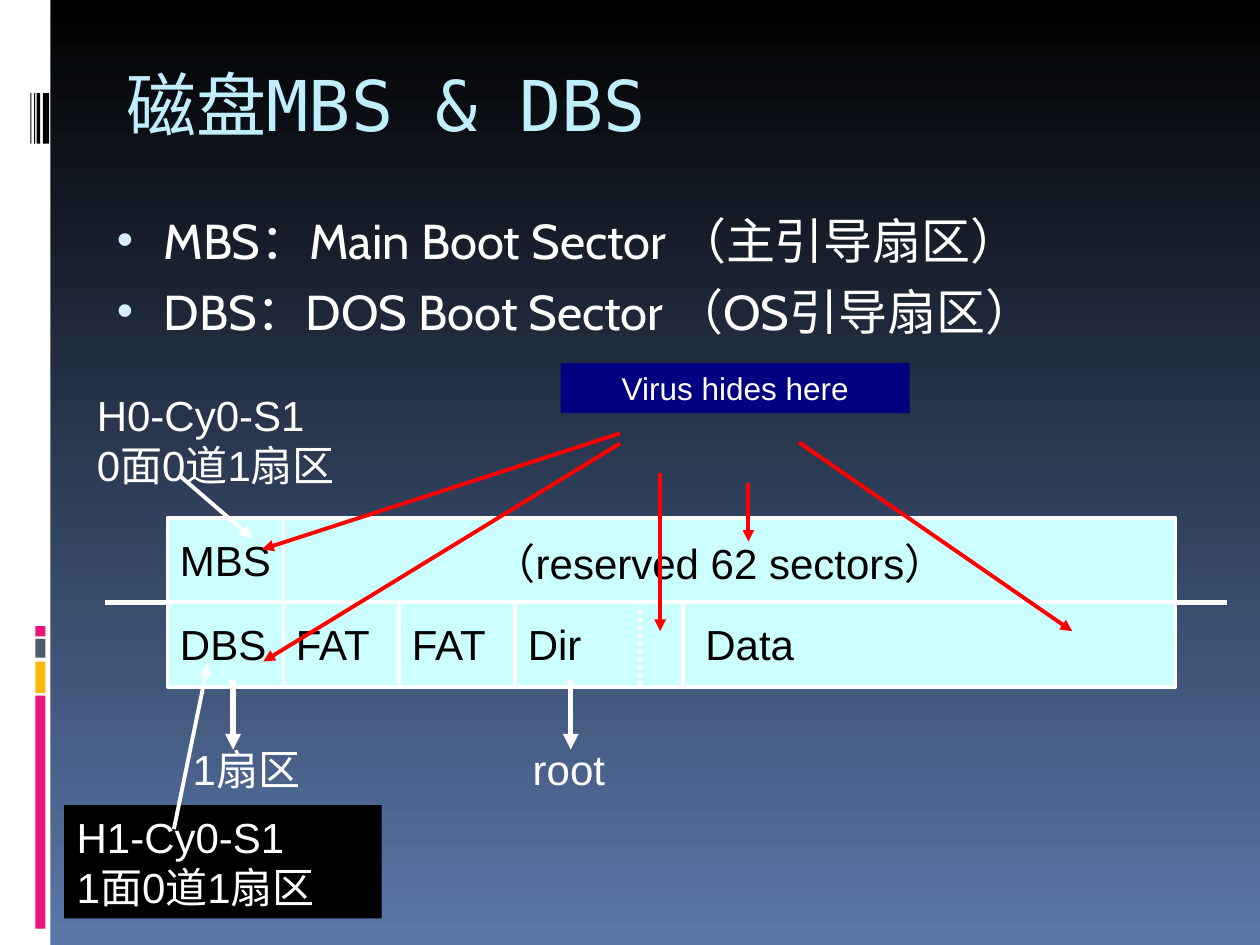
from lxml import etree
from pptx import Presentation
from pptx import util as u
from pptx.dml.color import RGBColor
from pptx.enum import dml, shapes, text
from pptx.oxml.ns import qn

WHITE = RGBColor(0xFF, 0xFF, 0xFF)
BLACK = RGBColor(0, 0, 0)
SLATE_BLUE = RGBColor(0x5A, 0x77, 0xA9)
TITLE_BLUE = RGBColor(0xC1, 0xEE, 0xFF)
BULLET_BLUE = "D6ECFF"
PINK = RGBColor(0xEA, 0x15, 0x7A)
AMBER = RGBColor(0xFE, 0xB8, 0x0A)
GREY = RGBColor(0x4E, 0x5B, 0x6F)
PALE_CYAN = RGBColor(0xCC, 0xFF, 0xFF)
NAVY = RGBColor(0, 0, 0x80)
RED = RGBColor(0xFF, 0, 0)

# Content
TITLE = "磁盘MBS & DBS"
SECTORS = ["MBS：Main Boot Sector （主引导扇区）",
           "DBS：DOS Boot Sector （OS引导扇区）"]
MBS_ADDRESS = ["H0-Cy0-S1", "0面0道1扇区"]
DBS_ADDRESS = ["H1-Cy0-S1", "1面0道1扇区"]

# Disk map: two tracks sharing one left edge
DISK_LEFT, DISK_TOP, DISK_WIDTH, TRACK = 1.33, 4.11, 8, 0.67
DISK_MIDDLE, DISK_BOTTOM = DISK_TOP + TRACK, DISK_TOP + 2 * TRACK
SECTOR = 0.92
DIR_LEFT, DATA_LEFT, DIR_SPLIT = DISK_LEFT + 3 * SECTOR, 5.42, 5.08
DBS_CELLS = [("DBS", DISK_LEFT), ("FAT", DISK_LEFT + SECTOR),
             ("FAT", DISK_LEFT + 2 * SECTOR), ("Dir", DIR_LEFT),
             ("Data", DATA_LEFT + 0.08)]

# Left margin decoration: (top, height, colour) and (left, width)
MARGIN_BLOCKS = [(5.52, 1.85, PINK), (5.25, 0.25, AMBER),
                 (5.07, 0.15, GREY), (4.97, 0.08, PINK)]
BARCODE = [(0.34, 0.05), (0.29, 0.03), (0.27, 0.01), (0.24, 0.01)]

# Arrows: (start, end)
VIRUS_ARROWS = [((4.92, 3.52), (2.09, 5.25)), ((5.24, 3.75), (5.24, 5.01)),
                ((6.34, 3.51), (8.51, 5.01)), ((4.92, 3.44), (2.08, 4.36)),
                ((5.94, 3.83), (5.94, 4.3))]
ADDRESS_ARROWS = [((1.38, 6.58), (1.65, 5.27)), ((1.42, 3.77), (2, 4.27))]
LABEL_ARROW_XS = [1.85, 4.53]

prs = Presentation()
prs.slide_width, prs.slide_height = u.Inches(10), u.Inches(7.5)
slide = prs.slides.add_slide(prs.slide_layouts[6])


def add_rect(left, top, width, height, fill, outline=None):
    rect = slide.shapes.add_shape(shapes.MSO_SHAPE.RECTANGLE,
                                  *map(u.Inches, (left, top, width, height)))
    rect.shadow.inherit = False
    rect.fill.solid()
    rect.fill.fore_color.rgb = fill
    if outline is None:
        rect.line.fill.background()
    else:
        rect.line.color.rgb = outline
        rect.line.width = u.Pt(2.25)
    return rect


def write(shape, lines, size=24, color=WHITE, font="Arial",
          align=text.PP_ALIGN.LEFT, anchor=text.MSO_ANCHOR.TOP,
          bullets=False):
    frame = shape.text_frame
    frame.word_wrap = True
    frame.vertical_anchor = anchor
    frame.text = "\n".join(lines)
    for index, paragraph in enumerate(frame.paragraphs):
        paragraph.alignment = align
        if bullets:
            add_bullet(paragraph)
            if index:
                paragraph.space_before = u.Pt(7)
        paragraph.font.size = u.Pt(size)
        paragraph.font.name = font
        paragraph.font.color.rgb = color


def add_bullet(paragraph):
    props = paragraph._p.get_or_add_pPr()
    props.set("marL", str(u.Inches(0.45)))
    props.set("indent", str(u.Inches(-0.37)))
    color = etree.SubElement(props, qn("a:buClr"))
    etree.SubElement(color, qn("a:srgbClr"), val=BULLET_BLUE)
    etree.SubElement(props, qn("a:buSzPct"), val="95000")
    etree.SubElement(props, qn("a:buFont"), typeface="Arial")
    etree.SubElement(props, qn("a:buChar"), char="•")


def add_label(left, top, width, height, lines, **style):
    box = slide.shapes.add_textbox(*map(u.Inches, (left, top, width, height)))
    write(box, lines, **style)


def add_line(start, end, color=WHITE, width=2.25, arrow=False, dash=None):
    line = slide.shapes.add_connector(shapes.MSO_CONNECTOR.STRAIGHT,
                                      *map(u.Inches, (*start, *end)))
    line.line.color.rgb = color
    line.line.width = u.Pt(width)
    if dash:
        line.line.dash_style = dash
    if arrow:
        etree.SubElement(line.line._get_or_add_ln(), qn("a:tailEnd"),
                         type="triangle")
    etree.SubElement(line._element.spPr, qn("a:effectLst"))


# Background and left margin
backdrop = slide.background.fill
backdrop.gradient()
backdrop.gradient_angle = 270
for stop, color in zip(backdrop.gradient_stops, (BLACK, SLATE_BLUE)):
    stop.color.rgb = color
add_rect(0, 0, 0.4, 7.5, WHITE)
for top, height, color in MARGIN_BLOCKS:
    add_rect(0.28, top, 0.08, height, color)
for left, width in BARCODE:
    add_rect(left, 0.74, width, 0.4, BLACK)

# Title and definitions
add_label(0.91, 0.44, 8.5, 1.25, [TITLE], size=40, color=TITLE_BLUE,
          font="DejaVu Sans Mono")
add_label(0.75, 1.62, 8.5, 1.25, SECTORS, size=28, font="Cabin", bullets=True)

# Disk tracks and cell dividers
add_rect(DISK_LEFT, DISK_TOP, DISK_WIDTH, TRACK, PALE_CYAN, WHITE)
add_line((0.83, DISK_MIDDLE), (9.74, DISK_MIDDLE), width=3)
add_rect(DISK_LEFT, DISK_MIDDLE, DISK_WIDTH, TRACK, PALE_CYAN, WHITE)
add_line((DISK_LEFT + SECTOR, DISK_TOP), (DISK_LEFT + SECTOR, DISK_MIDDLE))
for x in [left for _, left in DBS_CELLS[1:4]] + [DATA_LEFT]:
    add_line((x, DISK_MIDDLE), (x, DISK_BOTTOM))
add_line((DIR_SPLIT, DISK_MIDDLE), (DIR_SPLIT, DISK_BOTTOM),
         dash=dml.MSO_LINE.ROUND_DOT)

# Cell names
add_label(DISK_LEFT, DISK_TOP + 0.08, 1.08, 0.5, ["MBS"], color=BLACK)
add_label(3.82, DISK_TOP + 0.11, 4.49, 0.5, ["（reserved 62 sectors）"],
          color=BLACK)
for name, left in DBS_CELLS:
    add_label(left, DISK_MIDDLE + 0.08, 1.15, 0.5, [name], color=BLACK)

# Sector addresses and labels below the disk
add_label(0.67, 3.04, 2.36, 1.3, MBS_ADDRESS)
write(add_rect(0.51, 6.39, 2.52, 0.9, BLACK), DBS_ADDRESS)
add_label(1.3, 5.85, 1.31, 0.5, ["1扇区"], align=text.PP_ALIGN.CENTER)
add_label(4.13, 5.85, 0.94, 0.5, ["root"])
for start, end in ADDRESS_ARROWS:
    add_line(start, end, arrow=True)
for x in LABEL_ARROW_XS:
    add_line((x, 5.4), (x, 5.95), width=3, arrow=True)

# Virus hiding places
write(add_rect(4.45, 2.88, 2.77, 0.4, NAVY), ["Virus hides here"], size=18,
      align=text.PP_ALIGN.CENTER)
for start, end in VIRUS_ARROWS:
    add_line(start, end, color=RED, arrow=True)

prs.save("out.pptx")
